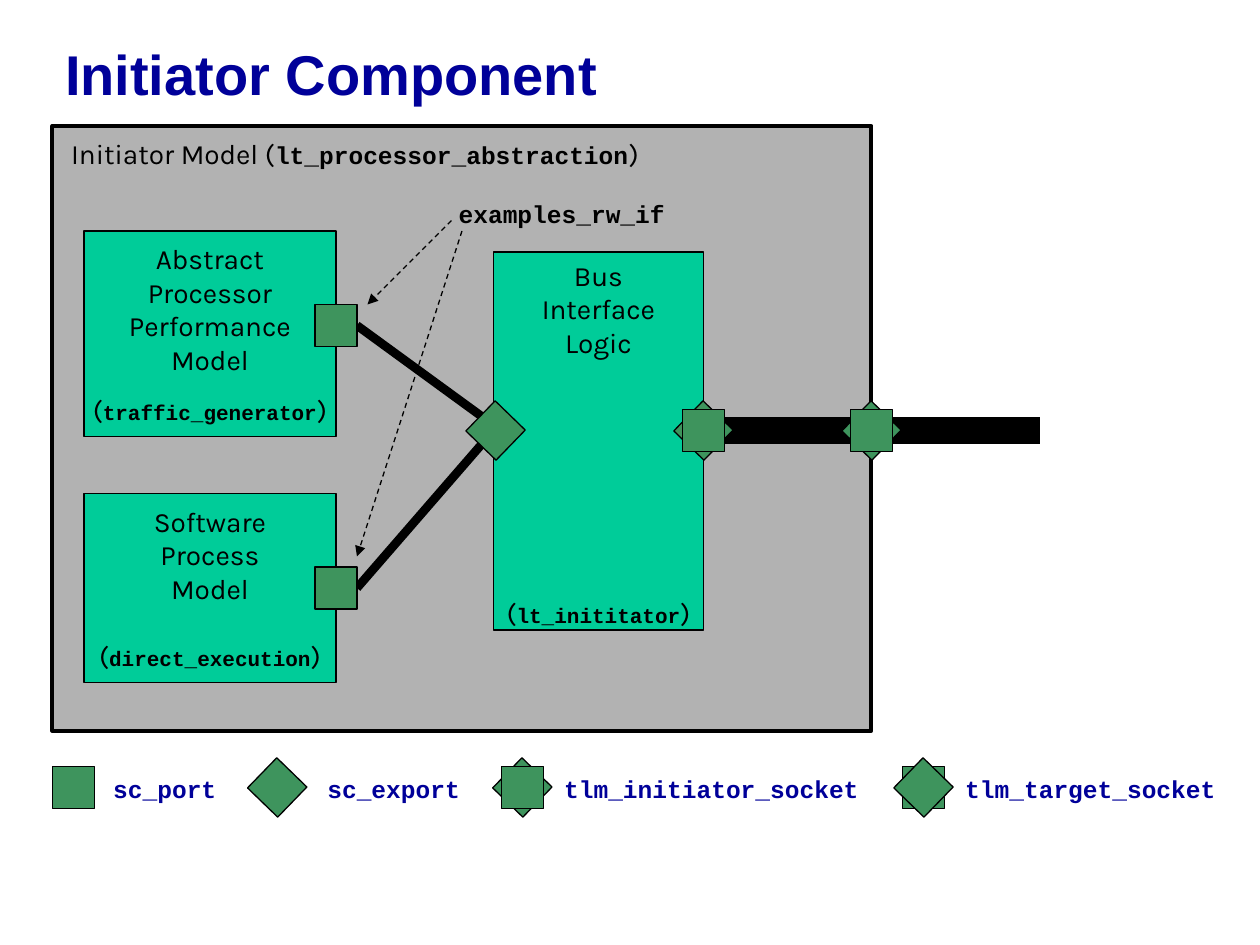
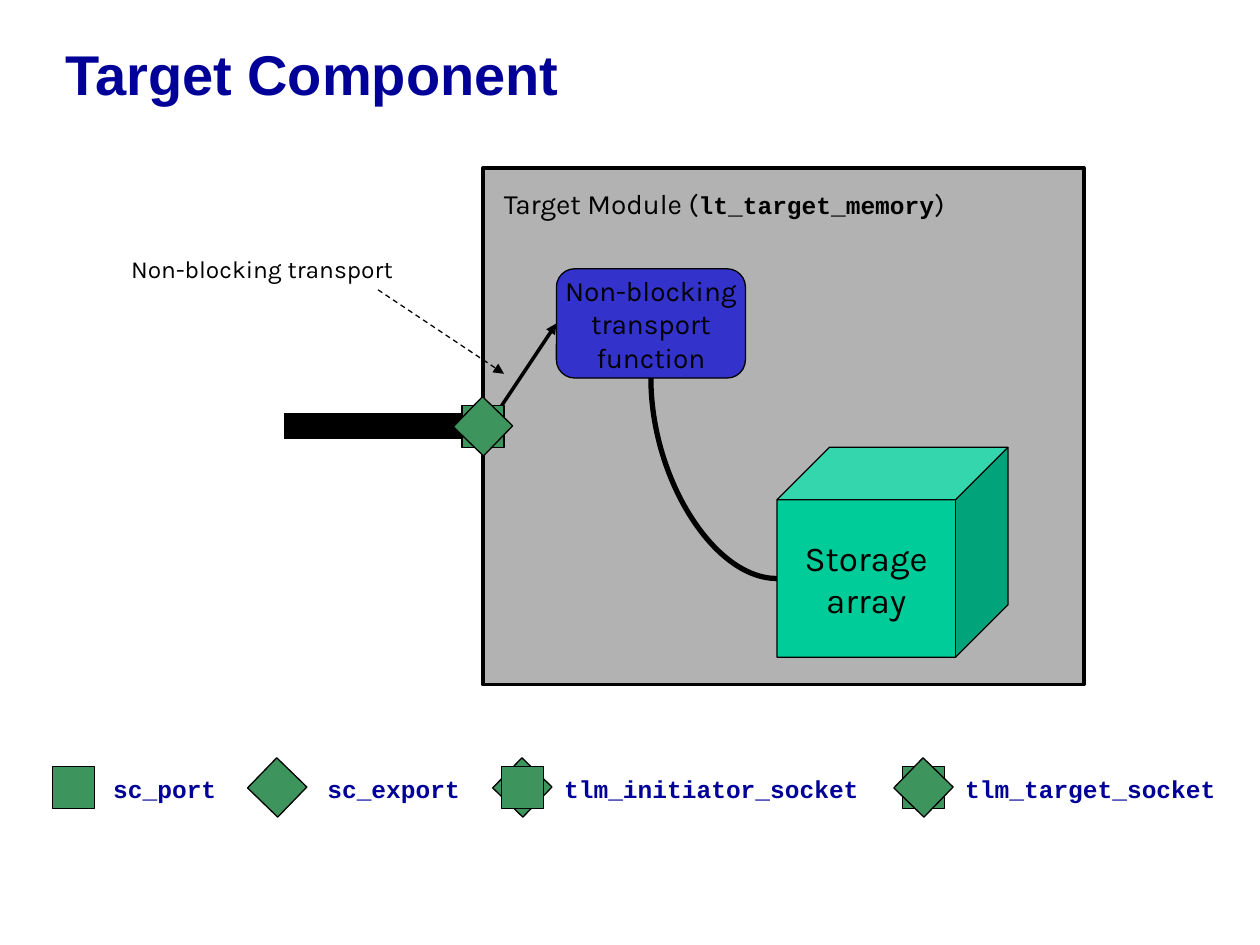
from dataclasses import dataclass

from lxml.etree import SubElement
from pptx import Presentation
from pptx.dml.color import RGBColor
from pptx.enum.dml import MSO_LINE_DASH_STYLE as Dash
from pptx.enum.shapes import MSO_CONNECTOR as Line, MSO_SHAPE as Kind
from pptx.enum.text import MSO_ANCHOR as Anchor, PP_ALIGN as Align
from pptx.oxml.ns import qn
from pptx.util import Inches, Pt


@dataclass(frozen=True)
class Theme:
    black: str = "000000"
    navy: str = "000099"
    gray: str = "B2B2B2"
    teal: str = "00CC99"
    green: str = "3E945D"
    blue: str = "3333CC"
    title_font: str = "Arial"
    body_font: str = "Karla"
    code_font: str = "Courier New"
    title: int = 32
    large: int = 20
    body: int = 16
    label: int = 14
    small: int = 12


theme = Theme()
presentation = Presentation()
presentation.slide_width, presentation.slide_height = Inches(10), Inches(7.5)

# Grid of 120 columns and 90 rows; every cell is square
CELL = presentation.slide_width / 120
MARKER_SIZE = 4
MARKER_PARTS = {
    "port": ["square"],
    "export": ["diamond"],
    "initiator": ["diamond", "square"],
    "target": ["square", "diamond"],
}
ROTATION = {"square": 0, "diamond": 44.1}

# Legend: marker, centre column, label column, label
LEGEND_ROW = 75
LEGEND = [
    ("port", 7, 9.6, "sc_port"),
    ("export", 26.4, 30, "sc_export"),
    ("initiator", 49.75, 52.55, "tlm_initiator_socket"),
    ("target", 87.95, 90.75, "tlm_target_socket"),
]


def write(shape, text, size=theme.body, code_size=theme.label, color=theme.black,
          font=theme.body_font, bold=False, align=Align.LEFT, anchor=Anchor.TOP,
          wrap=False, spacing=1.0, last_gap=0):
    """Fill a shape with text; parts between backticks are set as code."""
    frame = shape.text_frame
    frame.word_wrap, frame.vertical_anchor = wrap, anchor
    frame.margin_left = frame.margin_right = Inches(0.1)
    frame.margin_top = frame.margin_bottom = Inches(0.05)
    lines = text.split("\n")
    for index, line in enumerate(lines):
        paragraph = frame.add_paragraph() if index else frame.paragraphs[0]
        paragraph.alignment, paragraph.line_spacing = align, spacing
        if index and index == len(lines) - 1:
            paragraph.space_before = Pt(last_gap)
        for position, part in enumerate(line.split("`")):
            if not part:
                continue
            is_code = position % 2 == 1
            run = paragraph.add_run()
            run.text = part
            run.font.name = theme.code_font if is_code else font
            run.font.size = Pt(code_size if is_code else size)
            run.font.bold = is_code or bold
            run.font.color.rgb = RGBColor.from_string(color)


def draw(slide, kind, column, row, columns, rows, fill, weight=0.75, rotation=0):
    """Add a filled, outlined shape placed on the grid."""
    shape = slide.shapes.add_shape(
        kind, *(round(cells * CELL) for cells in (column, row, columns, rows)))
    shape.shadow.inherit = False
    shape.fill.solid()
    shape.fill.fore_color.rgb = RGBColor.from_string(fill)
    shape.line.color.rgb = RGBColor.from_string(theme.black)
    shape.line.width = Pt(weight)
    shape.rotation = rotation
    return shape


# Content. Joins name a shape and the index of its connection site.
SLIDES = [
    {
        "title": "Initiator Component",
        "panel": (5, 12, 78, 57.6),
        "blocks": {
            "bus": (Kind.RECTANGLE, (47, 24, 20, 36), theme.teal,
                    "Bus\nInterface\nLogic\n(`lt_inititator`)",
                    {"anchor": Anchor.TOP, "last_gap": 135}),
            "processor": (Kind.RECTANGLE, (8, 22, 24, 19.6), theme.teal,
                          "Abstract\nProcessor\nPerformance\nModel\n(`traffic_generator`)",
                          {"last_gap": 9.5}),
            "software": (Kind.RECTANGLE, (8, 47, 24, 18), theme.teal,
                         "Software\nProcess\nModel\n(`direct_execution`)",
                         {"last_gap": 19}),
        },
        "labels": [
            ((5.6, 13, 69.4, 3.8), "Initiator Model (`lt_processor_abstraction`)",
             {"wrap": True, "spacing": 0.8}),
            ((42.5, 18.35, 22.4, 4.1), "`examples_rw_if`", {}),
        ],
        "markers": {
            "software port": ("port", 32, 56),
            "processor port": ("port", 32, 31),
            "bus export": ("export", 47.2, 41),
            "panel socket": ("initiator", 83, 41),
            "bus socket": ("initiator", 67, 41),
        },
        "lines": [
            ((43, 21, 35, 29), {"weight": 0.75, "dash": True, "arrow": True}),
            ((44, 22, 34, 53), {"weight": 0.75, "dash": True, "arrow": True}),
            ((69, 41, 81, 41), {"weight": 15, "begin": ("bus socket square", 3),
                                "end": ("panel socket square", 1)}),
            ((34, 56, 45.8, 42.4), {"weight": 5, "begin": ("software port square", 3),
                                    "end": ("bus export diamond", 2)}),
            ((34, 31, 45.8, 39.6), {"weight": 5, "begin": ("processor port square", 3),
                                    "end": ("bus export diamond", 1)}),
            ((85, 41, 99, 41), {"weight": 15, "begin": ("panel socket square", 3)}),
        ],
    },
    {
        "title": "Target Component",
        "panel": (46, 16, 57.2, 49.2),
        "blocks": {
            "storage": (Kind.CUBE, (74, 42.6, 22, 20), theme.teal,
                        "Storage\narray", {"size": theme.large}),
            "function": (Kind.ROUNDED_RECTANGLE, (53, 25.6, 18, 10.4), theme.blue,
                         "Non-blocking\ntransport\nfunction", {}),
        },
        "labels": [
            ((46.8, 17.2, 45, 7.7), "Target Module (`lt_target_memory`)", {"wrap": True}),
            ((11.3, 23.6, 33.6, 4.1), "Non-blocking transport", {"size": theme.label}),
        ],
        "markers": {"panel socket": ("target", 46, 40.6)},
        "lines": [
            ((27, 40.6, 44, 40.6), {"weight": 15, "end": ("panel socket square", 1)}),
            ((47.4, 39.2, 53, 30.8), {"weight": 2, "arrow": True,
                                      "begin": ("panel socket diamond", 0),
                                      "end": ("function", 1)}),
            ((36, 27.6, 48, 35.6), {"weight": 0.75, "dash": True, "arrow": True}),
            ((74, 55.1, 62, 36), {"weight": 3, "curve": True,
                                  "begin": ("storage", 2), "end": ("function", 2)}),
        ],
    },
]

for content in SLIDES:
    slide = presentation.slides.add_slide(presentation.slide_layouts[5])
    shapes = {}

    # Title
    title = slide.shapes.title
    title.left, title.top = round(5 * CELL), 0
    title.width, title.height = round(114 * CELL), round(15 * CELL)
    write(title, content["title"], size=theme.title, font=theme.title_font, bold=True,
          color=theme.navy, anchor=Anchor.MIDDLE, wrap=True, spacing=0.85)

    # Panel and its blocks
    draw(slide, Kind.RECTANGLE, *content["panel"], theme.gray, weight=2.25)
    for name, (kind, place, fill, text, style) in content["blocks"].items():
        shapes[name] = draw(slide, kind, *place, fill)
        write(shapes[name], text, **{"code_size": theme.small, "align": Align.CENTER,
                                     "anchor": Anchor.MIDDLE, **style})

    # Labels of the diagram and of the legend, whose width follows the letter count
    legend_labels = [
        ((column, LEGEND_ROW - 1.9, 1.4 * len(text) + 2.8, 4.1), f"`{text}`",
         {"color": theme.navy})
        for _, _, column, text in LEGEND
    ]
    for place, text, style in content["labels"] + legend_labels:
        box = slide.shapes.add_textbox(*(round(cells * CELL) for cells in place))
        write(box, text, **style)

    # Lines, drawn beneath the markers
    connectors = []
    for ends, style in content["lines"]:
        points = [round(cells * CELL) for cells in ends]
        curved = style.get("curve")
        connector = slide.shapes.add_connector(
            Line.CURVE if curved else Line.STRAIGHT, *points)
        properties = connector._element.spPr
        if curved:
            properties.find(qn("a:prstGeom")).set("prst", "curvedConnector2")
        connector.line.color.rgb = RGBColor.from_string(theme.black)
        connector.line.width = Pt(style["weight"])
        if style.get("dash"):
            connector.line.dash_style = Dash.DASH
        if style.get("arrow"):
            SubElement(properties.find(qn("a:ln")), qn("a:tailEnd"), type="triangle")
        SubElement(properties, qn("a:effectLst"))
        connectors.append((connector, points, style))

    # Markers of the diagram and of the legend
    legend_markers = {f"legend {kind}": (kind, column, LEGEND_ROW)
                      for kind, column, _, _ in LEGEND}
    for name, (kind, column, row) in {**content["markers"], **legend_markers}.items():
        for part in MARKER_PARTS[kind]:
            shapes[f"{name} {part}"] = draw(
                slide, Kind.RECTANGLE, column - MARKER_SIZE / 2, row - MARKER_SIZE / 2,
                MARKER_SIZE, MARKER_SIZE, theme.green, rotation=ROTATION[part])

    # Joins; the end points are set again because rotated sides lie elsewhere
    for connector, points, style in connectors:
        if "begin" in style:
            name, side = style["begin"]
            connector.begin_connect(shapes[name], side)
        if "end" in style:
            name, side = style["end"]
            connector.end_connect(shapes[name], side)
        connector.begin_x, connector.begin_y, connector.end_x, connector.end_y = points

presentation.save("out.pptx")
